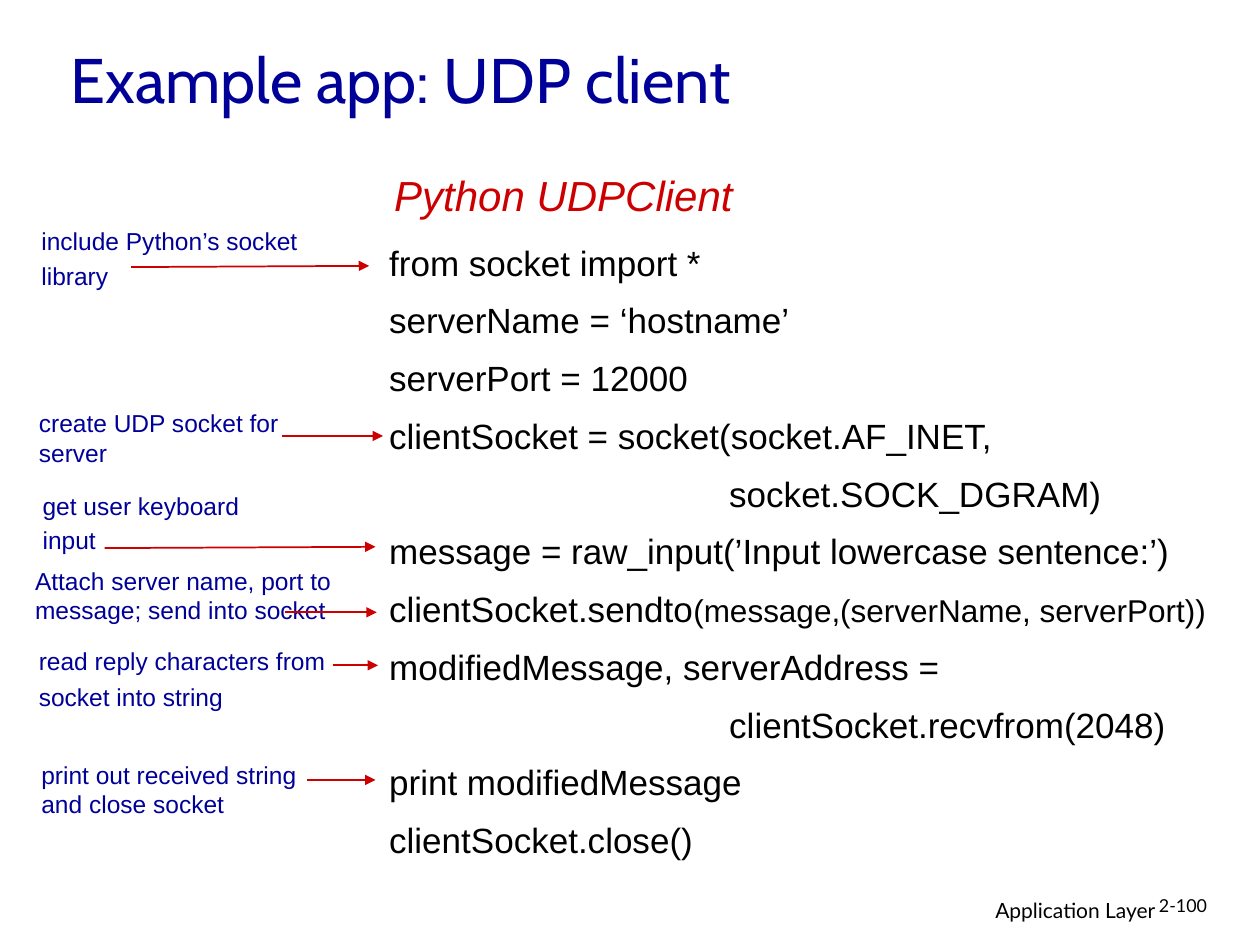
import pptx
import pptx.dml.color
import pptx.enum.shapes
import pptx.enum.text
import pptx.oxml
import pptx.oxml.ns
import pptx.util

PX = 9144  # EMU per px, 100 px to the inch
BLACK = pptx.dml.color.RGBColor(0x00, 0x00, 0x00)
NAVY = pptx.dml.color.RGBColor(0x00, 0x00, 0x99)
RED = pptx.dml.color.RGBColor(0xCC, 0x00, 0x00)
ALIGN = pptx.enum.text.PP_ALIGN
ANCHOR = pptx.enum.text.MSO_ANCHOR
Pt = pptx.util.Pt


def write(sp, paragraphs, font, color, wrap=True, **spacing):
    """Fill sp; a paragraph is a list of (text, size) runs, spacing holds paragraph formats."""
    tf = sp.text_frame
    tf.word_wrap = wrap
    tf.auto_size = pptx.enum.text.MSO_AUTO_SIZE.NONE
    for i, runs in enumerate(paragraphs):
        p = tf.paragraphs[0] if i == 0 else tf.add_paragraph()
        for name, value in spacing.items():
            if i > 0 or name != "space_before":
                setattr(p, name, value)
        for text, size in runs:
            r = p.add_run()
            r.text = text
            for name, value in {"name": font, "size": Pt(size)}.items():
                setattr(r.font, name, value)
            r.font.color.rgb = color
    return tf


def add_box(left, top, width, height):
    return s.shapes.add_textbox(left * PX, top * PX, width * PX, height * PX)


prs = pptx.Presentation()
prs.slide_width, prs.slide_height = 1000 * PX, 750 * PX
s = prs.slides.add_slide(prs.slide_layouts[5])

# Title
title = s.shapes.title
for name, value in {"left": 46, "top": 10, "width": 850, "height": 104}.items():
    setattr(title, name, value * PX)
tf = write(title, [[("Example app: UDP client", 36)]], "Cabin", NAVY, alignment=ALIGN.LEFT)
tf.vertical_anchor = ANCHOR.MIDDLE

# Footer
write(add_box(610, 707, 317, 31), [[("Application Layer", 12)]], "Lato", BLACK,
      alignment=ALIGN.RIGHT)
write(add_box(910, 707, 74, 30), [[("2-100", 10.2)]], "Lato", BLACK, line_spacing=0.9)

# Program
tf = write(add_box(303, 130, 288, 50), [[("Python UDPClient", 24)]], "Arial", RED, wrap=False)
tf.paragraphs[0].runs[0].font.italic = True

code = [
    [("from socket import *", 20)],
    [("serverName = ‘hostname’", 20)],
    [("serverPort = 12000", 20)],
    [("clientSocket = socket(socket.AF_INET,", 20)],
    [("                                   socket.SOCK_DGRAM)", 20)],
    [("message = raw_input(’Input lowercase sentence:’)", 20)],
    [("clientSocket.sendto", 20), ("(message,(serverName, serverPort))", 18)],
    [("modifiedMessage, serverAddress =", 20)],
    [("                                   clientSocket.recvfrom(2048)", 20)],
    [("print modifiedMessage", 20)],
    [("clientSocket.close()", 20)],
]
write(add_box(299, 181, 668, 506), code, "Arial", BLACK, wrap=False,
      line_spacing=Pt(28), space_before=Pt(5))

# Notes beside the code: box, lines, line spacing, arrow (x1, y1, x2, y2)
notes = [
    ((23, 176, 229, 60), ["include Python’s socket", "library"], Pt(16), (104, 212, 293, 211)),
    ((21, 319, 248, 57), ["create UDP socket for server"], None, (224, 346, 304, 346)),
    ((24, 386, 176, 60), ["get user keyboard", "input"], Pt(16), (83, 435, 298, 434)),
    ((18, 444, 257, 57), ["Attach server name, port to message; send into socket"], None,
     (226, 486, 299, 486)),
    ((21, 508, 257, 62), ["read reply characters from", "socket into string"], None,
     (264, 528, 300, 528)),
    ((23, 598, 257, 57), ["print out received string and close socket"], None,
     (244, 619, 298, 619)),
]
for box, lines, line_spacing, arrow in notes:
    write(add_box(*box), [[(line, 14)] for line in lines], "Arial", NAVY,
          line_spacing=line_spacing, space_before=Pt(3.5))
    c = s.shapes.add_connector(pptx.enum.shapes.MSO_CONNECTOR.STRAIGHT, *(v * PX for v in arrow))
    c.line.color.rgb = RED
    c.line.width = Pt(1)
    ln = c.line._get_or_add_ln()
    tail = pptx.oxml.parse_xml(f'<a:tailEnd {pptx.oxml.ns.nsdecls("a")} type="triangle"/>')
    ln.append(tail)
    effects = pptx.oxml.parse_xml(f'<a:effectLst {pptx.oxml.ns.nsdecls("a")}/>')
    ln.addnext(effects)

prs.save("out.pptx")
